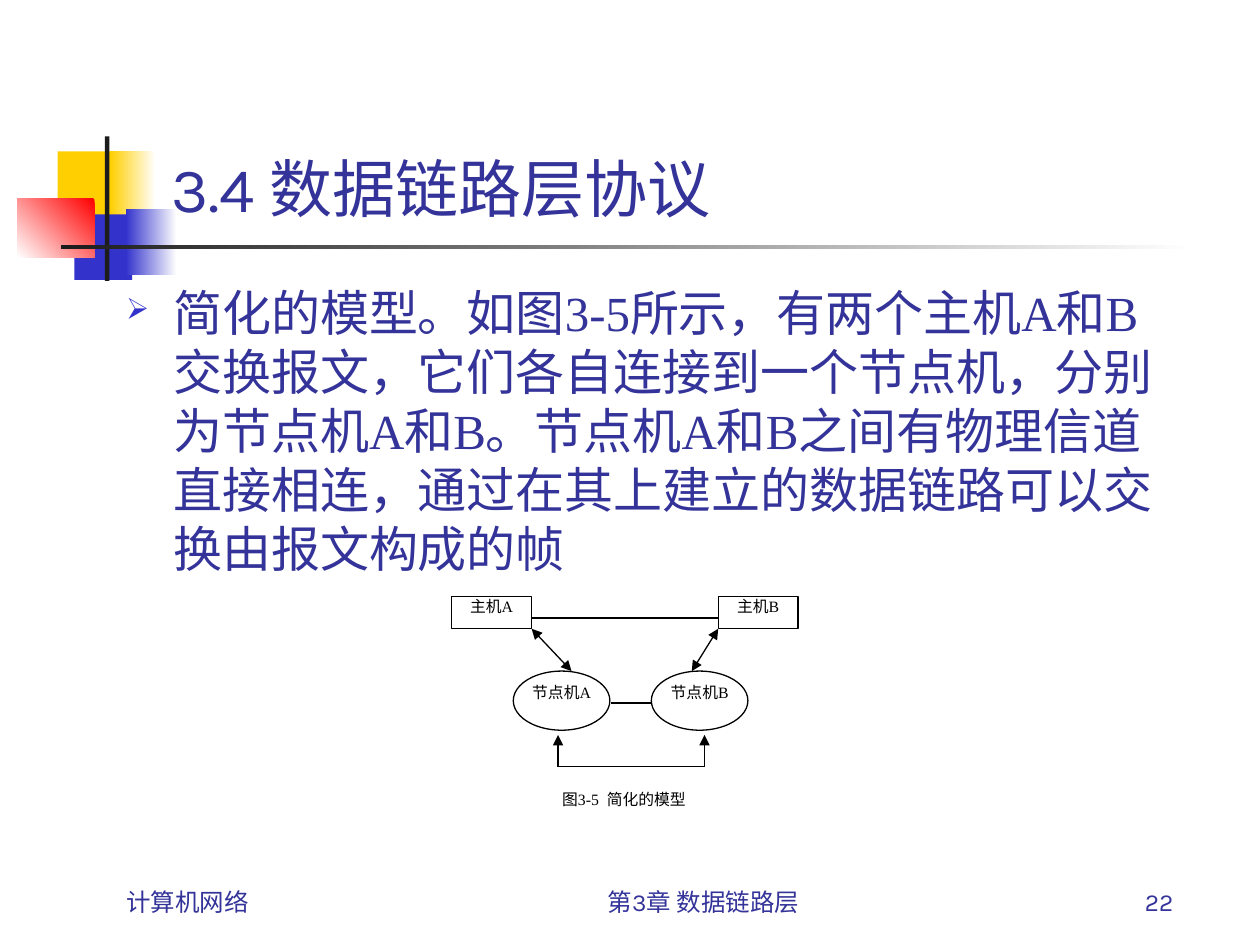
from lxml.etree import SubElement
from pptx import Presentation
from pptx.dml.color import RGBColor
from pptx.enum.shapes import MSO_CONNECTOR, MSO_SHAPE
from pptx.enum.text import MSO_ANCHOR, PP_ALIGN
from pptx.oxml.ns import qn
from pptx.util import Pt

COLORS = {"gold": "FFCF01", "blue": "3333CC", "red": "FF0000", "white": "FFFFFF",
          "dark": "1C1C1C", "text": "333399", "black": "000000"}
HAN, SERIF, SANS = "Noto Sans CJK SC", "Times New Roman", "Karla"


class Deck:
    def __init__(self):
        self.prs = Presentation()
        self.prs.slide_width, self.prs.slide_height = Pt(720), Pt(540)
        self.slide = self.prs.slides.add_slide(self.prs.slide_layouts[6])
        self.shapes = self.slide.shapes

    def color(self, name):
        return RGBColor.from_string(COLORS[name])

    def font(self, run, size, face, color):
        run.font.size, run.font.name = Pt(size), face
        run.font.color.rgb = self.color(color)
        SubElement(run.font._element, qn("a:ea"), typeface=HAN)

    def block(self, box, fill, end=None, angle=180):
        """Plain rectangle, or a gradient from fill to end."""
        shape = self.shapes.add_shape(MSO_SHAPE.RECTANGLE, *map(Pt, box))
        shape.shadow.inherit = False
        shape.line.fill.background()
        if end:
            shape.fill.gradient()
            shape.fill.gradient_angle = angle
            for stop, name in zip(shape.fill.gradient_stops, (fill, end)):
                stop.color.rgb = self.color(name)
        else:
            shape.fill.solid()
            shape.fill.fore_color.rgb = self.color(fill)

    def set_text(self, shape, text, size, face, color, align, anchor, pad):
        frame = shape.text_frame
        frame.word_wrap, frame.vertical_anchor = True, anchor
        frame.margin_left = frame.margin_right = Pt(pad * 2)
        frame.margin_top = frame.margin_bottom = Pt(pad)
        frame.text = text
        para = frame.paragraphs[0]
        para.alignment = align
        self.font(para.runs[0], size, face, color)

    def label(self, box, text, size, align=PP_ALIGN.LEFT):
        shape = self.shapes.add_textbox(*map(Pt, box))
        self.set_text(shape, text, size, SANS, "text", align, MSO_ANCHOR.BOTTOM, 3.6)

    def small(self, shape, text, top):
        """Centred figure text, a little below the top edge."""
        self.set_text(shape, text, 9, SERIF, "black", PP_ALIGN.CENTER,
                      MSO_ANCHOR.TOP, 0)
        shape.text_frame.margin_top = Pt(top)

    def note(self, box, text, top=0):
        self.small(self.shapes.add_textbox(*map(Pt, box)), text, top)

    def node(self, kind, box, text, top=0):
        shape = self.shapes.add_shape(kind, *map(Pt, box))
        shape.shadow.inherit = False
        shape.fill.solid()
        shape.fill.fore_color.rgb = self.color("white")
        shape.line.color.rgb = self.color("black")
        shape.line.width = Pt(0.75)
        self.small(shape, text, top)

    def line(self, ends, *tips):
        wire = self.shapes.add_connector(MSO_CONNECTOR.STRAIGHT, *map(Pt, ends))
        wire.line.color.rgb = self.color("black")
        wire.line.width = Pt(0.75)
        props = wire._element.spPr
        for tip in tips:
            SubElement(props.find(qn("a:ln")), qn("a:" + tip), type="triangle")
        SubElement(props, qn("a:effectLst"))

    def bullet(self, box, parts):
        """One bulleted paragraph; Chinese and Latin parts take turns."""
        frame = self.shapes.add_textbox(*map(Pt, box)).text_frame
        frame.word_wrap, frame.margin_top = True, Pt(10.6)
        para = frame.paragraphs[0]
        props = para._p.get_or_add_pPr()
        props.set("marL", str(Pt(27)))
        props.set("indent", str(Pt(-27)))
        SubElement(SubElement(props, qn("a:buClr")), qn("a:srgbClr"), val=COLORS["blue"])
        SubElement(props, qn("a:buSzPct"), val="60000")
        SubElement(props, qn("a:buChar"), char="➢")
        for i, part in enumerate(parts):
            run = para.add_run()
            run.text = part
            self.font(run, 28, SERIF if i % 2 else HAN, "text")


def main():
    deck = Deck()

    # Corner ornament and rule
    deck.block((33, 86.5, 34.5, 37.5), "gold")
    deck.block((63, 86.5, 26, 37.5), "white", "gold")
    deck.block((42.5, 122.5, 33, 37.5), "blue")
    deck.block((72, 119.5, 29, 37.5), "white", "blue")
    deck.block((10, 113.5, 44, 33.5), "red", "white", 225)
    deck.block((60, 78, 2.5, 82.5), "dark")
    deck.block((35, 140, 648, 2.5), "white", "dark")

    # Title and body
    deck.label((90.7, 16.5, 613.5, 115.5), "3.4 数据链路层协议", 36)
    deck.bullet((65, 151, 612, 324), (
        "简化的模型。如图", "3-5", "所示，有两个主机", "A", "和", "B",
        "交换报文，它们各自连接到一个节点机，分别为节点机", "A", "和", "B",
        "。节点机", "A", "和", "B",
        "之间有物理信道直接相连，通过在其上建立的数据链路可以交换由报文构成的帧"))

    # Hosts and nodes
    for name, host, node in (("A", 258, 293.3), ("B", 410.4, 372.2)):
        deck.node(MSO_SHAPE.RECTANGLE, (host, 340.8, 45.6, 18.2), "主机" + name)
        deck.node(MSO_SHAPE.OVAL, (node, 383.5, 55.2, 33.8), "节点机" + name, 1.5)

    # Links between them
    deck.line((303.8, 359.3, 326.6, 383.5), "headEnd", "tailEnd")
    deck.line((410.4, 359.3, 395.3, 383.5), "headEnd", "tailEnd")
    deck.line((303.8, 353.2, 410.4, 353.2))
    deck.line((349.2, 401.8, 372.2, 401.8))

    # Frame path below the nodes
    deck.line((318.9, 438.2, 402.6, 438.2))
    for x in (318.9, 402.6):
        deck.line((x, 438.2, x, 420), "tailEnd")
    deck.note((291, 450, 131, 18), "图3-5  简化的模型", 1.5)

    # Footer
    deck.label((65, 491, 150, 36), "计算机网络", 14)
    deck.label((288, 491.5, 228, 36), "第3章 数据链路层", 14, PP_ALIGN.CENTER)
    deck.label((554.5, 491.5, 123, 36), "22", 14, PP_ALIGN.RIGHT)

    deck.prs.save("out.pptx")


if __name__ == "__main__":
    main()
